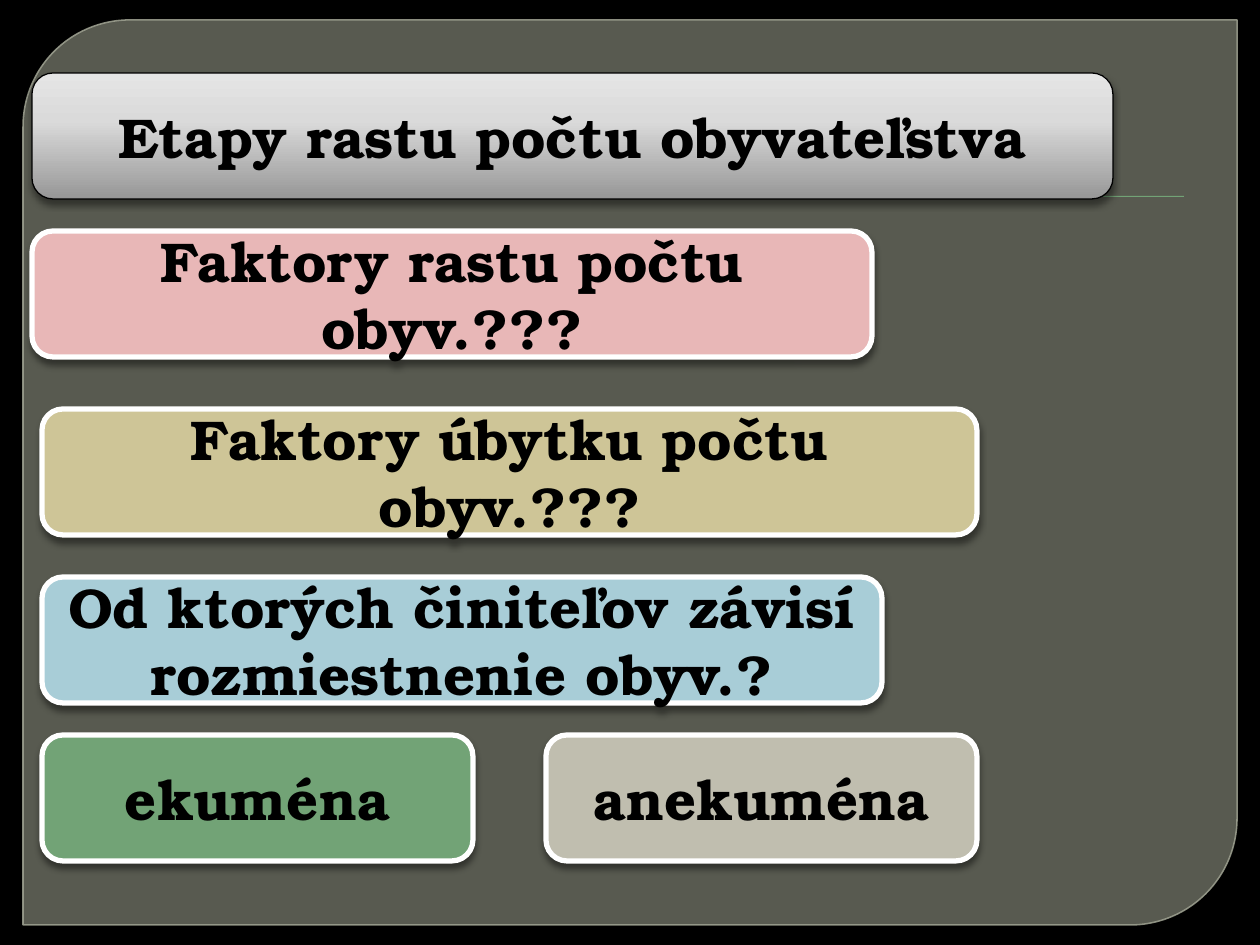
from lxml.etree import SubElement
from pptx import Presentation
from pptx.dml.color import RGBColor
from pptx.enum.shapes import MSO_SHAPE
from pptx.enum.text import MSO_ANCHOR, PP_ALIGN
from pptx.oxml.ns import qn
from pptx.util import Pt

PX = 914400 / 126
FONT = "TeX Gyre Bonum"
COLORS = {
    "back": "000000", "panel": "888B7B", "edge": "9DA090",
    "green": "72A376", "pink": "E8B7B7", "sand": "CEC597",
    "blue": "A8CDD7", "stone": "C0BEAF", "white": "FFFFFF", "black": "000000",
}
SILVER = [(0, "979797"), (62, "DADADA"), (100, "E5E5E5")]


def px(n):
    return round(n * PX)


def rgb(name):
    return RGBColor.from_string(COLORS[name])


def add_tint(parent, color, alpha):
    tint = SubElement(parent, qn("a:srgbClr"), val=color)
    if alpha < 100:
        SubElement(tint, qn("a:alpha"), val=str(alpha * 1000))


def set_alpha(fill, alpha):
    SubElement(fill.find(qn("a:srgbClr")), qn("a:alpha"), val=str(alpha * 1000))


def add_shade(shape, blur, dist, alpha):
    effects = shape._element.spPr.find(qn("a:effectLst"))
    shade = SubElement(effects, qn("a:outerShdw"), blurRad=str(Pt(blur)),
                       dist=str(Pt(dist)), dir="5400000", algn="ctr", rotWithShape="0")
    add_tint(shade, COLORS["black"], alpha)


def set_ramp(shape, stops):
    shape.fill.gradient()
    shape.fill.gradient_angle = 90
    ramp = shape._element.spPr.find(qn("a:gradFill")).find(qn("a:gsLst"))
    ramp.clear()
    for pos, color in stops:
        add_tint(SubElement(ramp, qn("a:gs"), pos=str(pos * 1000)), color, 100)


def add_box(slide, kind, box, fill=None, line=None, width=1):
    shape = slide.shapes.add_shape(kind, *map(px, box))
    shape.shadow.inherit = False
    if fill:
        shape.fill.solid()
        shape.fill.fore_color.rgb = rgb(fill)
    if line:
        shape.line.color.rgb = rgb(line)
        shape.line.width = Pt(width)
    else:
        shape.line.fill.background()
    return shape


def put_text(shape, text, size=32, color="black", bold=True, align=PP_ALIGN.CENTER):
    frame = shape.text_frame
    frame.word_wrap = True
    frame.vertical_anchor = MSO_ANCHOR.MIDDLE
    para = frame.paragraphs[0]
    para.alignment = align
    run = para.add_run()
    run.text = text
    run.font.name = FONT
    run.font.size = Pt(size)
    run.font.bold = bold
    run.font.color.rgb = rgb(color)


def add_card(slide, text, box, fill=None, line="white", width=3):
    card = add_box(slide, MSO_SHAPE.ROUNDED_RECTANGLE, box, fill, line, width)
    add_shade(card, 4, 3, 43)
    put_text(card, text)
    return card


def add_panel(slide):
    panel = add_box(slide, MSO_SHAPE.ROUND_2_DIAG_RECTANGLE,
                    (23, 20, 1214, 905), "panel", "edge", 0.87)
    panel.adjustments[0] = 0.118
    panel.adjustments[1] = 0
    props = panel._element.spPr
    set_alpha(props.find(qn("a:solidFill")), 65)
    set_alpha(props.find(qn("a:ln")).find(qn("a:solidFill")), 88)


def main():
    deck = Presentation()
    deck.slide_width, deck.slide_height = px(1260), px(945)
    slide = deck.slides.add_slide(deck.slide_layouts[6])
    slide.background.fill.solid()
    slide.background.fill.fore_color.rgb = rgb("back")

    # Backdrop panel and rule under the title
    add_panel(slide)
    rule = add_box(slide, MSO_SHAPE.RECTANGLE, (81, 196, 1103, 1), "green")
    add_shade(rule, 1, 1, 75)

    # Title
    title = add_card(slide, "Etapy rastu počtu obyvateľstva",
                     (32, 73, 1081, 126), line="black", width=0.75)
    set_ramp(title, SILVER)

    # Question and term cards, all of one height
    cards = [
        ("Faktory rastu počtu obyv.???", 32, 231, 840, "pink"),
        ("Faktory úbytku počtu obyv.???", 42, 409, 935, "sand"),
        ("Od ktorých činiteľov závisí rozmiestnenie obyv.?", 42, 577, 840, "blue"),
        ("ekuména", 42, 735, 431, "green"),
        ("anekuména", 546, 735, 431, "stone"),
    ]
    for text, left, top, wide, fill in cards:
        add_card(slide, text, (left, top, wide, 126), fill)

    deck.save("out.pptx")


if __name__ == "__main__":
    main()
